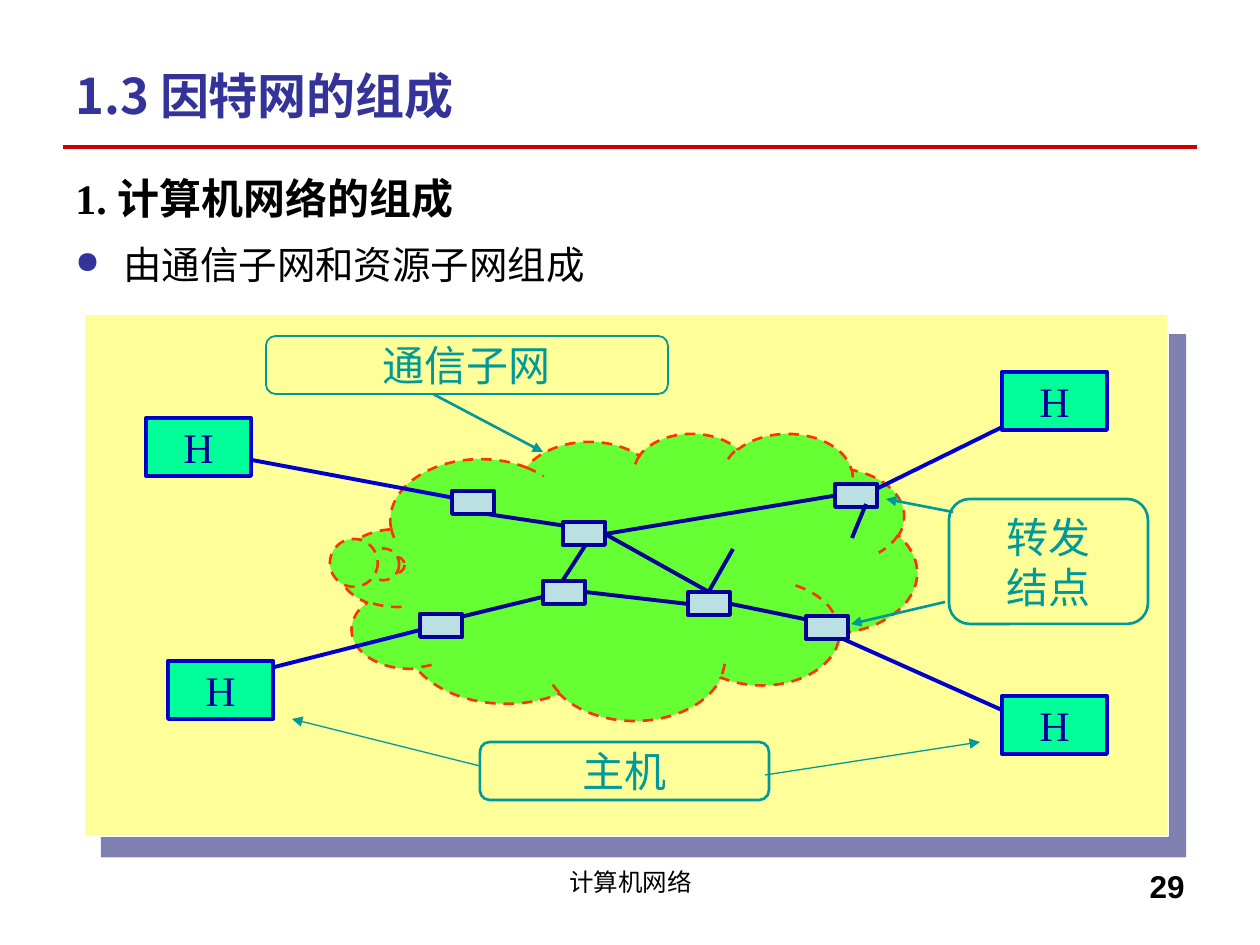
from lxml import etree
from pptx import Presentation
from pptx.dml.color import RGBColor
from pptx.enum.dml import MSO_LINE
from pptx.enum.shapes import MSO_CONNECTOR, MSO_SHAPE
from pptx.enum.text import MSO_ANCHOR, PP_ALIGN
from pptx.oxml.ns import qn
from pptx.util import Pt

PX = 914400 / 126
RECT, ROUND = MSO_SHAPE.RECTANGLE, MSO_SHAPE.ROUNDED_RECTANGLE
CLOUD = MSO_SHAPE.CLOUD_CALLOUT
STRAIGHT, DASH = MSO_CONNECTOR.STRAIGHT, MSO_LINE.DASH
LEFT, CENTER, RIGHT = PP_ALIGN.LEFT, PP_ALIGN.CENTER, PP_ALIGN.RIGHT
TOP, MIDDLE = MSO_ANCHOR.TOP, MSO_ANCHOR.MIDDLE

SANS, SERIF, CJK = "Arial", "Times New Roman", "Noto Sans CJK SC"
BLACK = RGBColor(0x00, 0x00, 0x00)
WHITE = RGBColor(0xFF, 0xFF, 0xFF)
INDIGO = RGBColor(0x33, 0x33, 0x99)
RED = RGBColor(0xCC, 0x00, 0x00)
YELLOW = RGBColor(0xFF, 0xFF, 0x99)
SHADOW = RGBColor(0x00, 0x00, 0x66)
GREEN = RGBColor(0x66, 0xFF, 0x33)
ORANGE = RGBColor(0xFF, 0x33, 0x00)
MINT = RGBColor(0x00, 0xFF, 0x99)
BLUE = RGBColor(0x00, 0x00, 0xCC)
NAVY = RGBColor(0x00, 0x00, 0x99)
TEAL = RGBColor(0x00, 0x99, 0x99)
PALE = RGBColor(0xBB, 0xE0, 0xE3)

HOST_SIZE, NODE_SIZE = (105, 58), (42, 23)
HOSTS = [(146, 418), (1002, 372), (1002, 696), (168, 661)]
NODES = [(688, 592), (543, 581), (835, 484), (420, 614), (806, 616),
         (452, 491), (563, 522)]
# Each line is x1, y1, x2, y2
HOST_LINKS = [(251, 673, 440, 625), (209, 452, 465, 500),
              (1043, 407, 856, 499), (1022, 719, 814, 626)]
NODE_LINKS = [(585, 546, 563, 580), (605, 534, 709, 592),
              (585, 592, 688, 604), (605, 534, 833, 496),
              (731, 604, 814, 621), (444, 621, 563, 592),
              (480, 513, 593, 530)]
STUBS = [(708, 593, 733, 549), (852, 538, 866, 504)]
# Label text, box, outline width
LABELS = [("主机", (480, 742, 289, 58), 1.5),
          ("通信子网", (266, 336, 402, 58), 1),
          ("转发\n结点", (949, 499, 199, 125), 1.5)]
POINTERS = [((480, 766, 292, 719), 0.75), ((765, 775, 980, 742), 0.75),
            ((433, 394, 543, 452), 1.5), ((953, 512, 886, 499), 1.5),
            ((945, 602, 851, 624), 1.5)]


def px(*values):
    return [round(v * PX) for v in values]


def add_xml(parent, tag, **attrs):
    return etree.SubElement(parent, qn(tag), attrs)


def style_paragraph(p, size, font, color, bold=False, align=LEFT):
    p.alignment = align
    for r in p.runs:
        r.font.size, r.font.bold = Pt(size), bold
        r.font.color.rgb = color
        r.font.name = font
        add_xml(r.font._element, "a:ea", typeface=CJK)


def add_text(s, box, text, anchor=TOP, **style):
    tf = s.shapes.add_textbox(*px(*box)).text_frame
    tf.word_wrap = True
    tf.vertical_anchor = anchor
    tf.text = text
    for p in tf.paragraphs:
        style_paragraph(p, **style)
    return tf


def add_box(s, kind, box, fill, line, width, text="", color=None):
    sp = s.shapes.add_shape(kind, *px(*box))
    sp.shadow.inherit = False
    if fill is None:
        sp.fill.background()
    else:
        sp.fill.solid()
        sp.fill.fore_color.rgb = fill
    sp.line.color.rgb = line
    sp.line.width = Pt(width)
    if text:
        tf = sp.text_frame
        tf.word_wrap = False
        tf.vertical_anchor = MIDDLE
        tf.text = text
        for p in tf.paragraphs:
            style_paragraph(p, 24, SERIF, color, align=CENTER)
    return sp


def add_line(s, ends, color, width, arrow=False):
    line = s.shapes.add_connector(STRAIGHT, *px(*ends))
    line.line.color.rgb = color
    line.line.width = Pt(width)
    if arrow:
        add_xml(line.line._get_or_add_ln(), "a:tailEnd", type="triangle")
    add_xml(line._element.spPr, "a:effectLst")


def add_hard_shadow(sp):
    effects = sp._element.spPr.find(qn("a:effectLst"))
    shadow = add_xml(effects, "a:outerShdw", blurRad="0", dist=str(Pt(15.6)),
                     dir=str(50 * 60000), algn="ctr", rotWithShape="0")
    color = add_xml(shadow, "a:srgbClr", val=str(SHADOW))
    add_xml(color, "a:alpha", val="50000")


def add_bullet(p):
    pPr = p._p.get_or_add_pPr()
    add_xml(add_xml(pPr, "a:buClr"), "a:srgbClr", val=str(INDIGO))
    add_xml(pPr, "a:buSzPct", val="80000")
    add_xml(pPr, "a:buChar", char="●")


def add_outline(s):
    tf = add_text(s, (63, 156, 1134, 703),
                  "1. 计算机网络的组成\n由通信子网和资源子网组成",
                  size=24, font=SERIF, color=BLACK, bold=True)
    for p in tf.paragraphs:
        p.line_spacing = 1.2
        pPr = p._p.get_or_add_pPr()
        indent = px(48)[0]
        pPr.set("marL", str(indent))
        pPr.set("indent", str(-indent))
    point = tf.paragraphs[1]
    point.space_before = Pt(5.5)
    add_bullet(point)
    point.runs[0].font.size = Pt(22)
    point.runs[0].font.bold = False


def add_diagram(s):
    # Panel and subnet cloud
    add_hard_shadow(add_box(s, RECT, (84, 314, 1084, 522), YELLOW, WHITE, 0.75))
    cloud = add_box(s, CLOUD, (339, 433, 578, 287), GREEN, ORANGE, 1.5)
    cloud.adjustments[0], cloud.adjustments[1] = -0.4, -0.04
    cloud.line.dash_style = DASH

    # Hosts
    for ends in HOST_LINKS:
        add_line(s, ends, BLUE, 2.25)
    for corner in HOSTS:
        add_box(s, RECT, corner + HOST_SIZE, MINT, BLUE, 2.25, "H", NAVY)

    # Forwarding nodes
    for ends in NODE_LINKS:
        add_line(s, ends, NAVY, 2.25)
    for corner in NODES:
        add_box(s, RECT, corner + NODE_SIZE, PALE, NAVY, 2.25)
    for ends in STUBS:
        add_line(s, ends, NAVY, 2.25)

    # Labels and their pointers
    for text, box, width in LABELS:
        add_box(s, ROUND, box, None, TEAL, width, text, TEAL)
    for ends, width in POINTERS:
        add_line(s, ends, TEAL, width, arrow=True)


def main():
    prs = Presentation()
    prs.slide_width, prs.slide_height = px(1260, 945)
    s = prs.slides.add_slide(prs.slide_layouts[6])

    # Heading and footer
    add_line(s, (63, 147, 1197, 147), RED, 2)
    add_text(s, (431, 861, 399, 66), "计算机网络",
             size=14, font=SANS, color=BLACK, align=CENTER)
    add_text(s, (903, 861, 294, 66), "29",
             size=18, font=SANS, color=BLACK, bold=True, align=RIGHT)
    add_text(s, (63, 42, 1134, 105), "1.3 因特网的组成", MIDDLE,
             size=28, font=CJK, color=INDIGO, bold=True)

    add_outline(s)
    add_diagram(s)
    prs.save("out.pptx")


if __name__ == "__main__":
    main()
